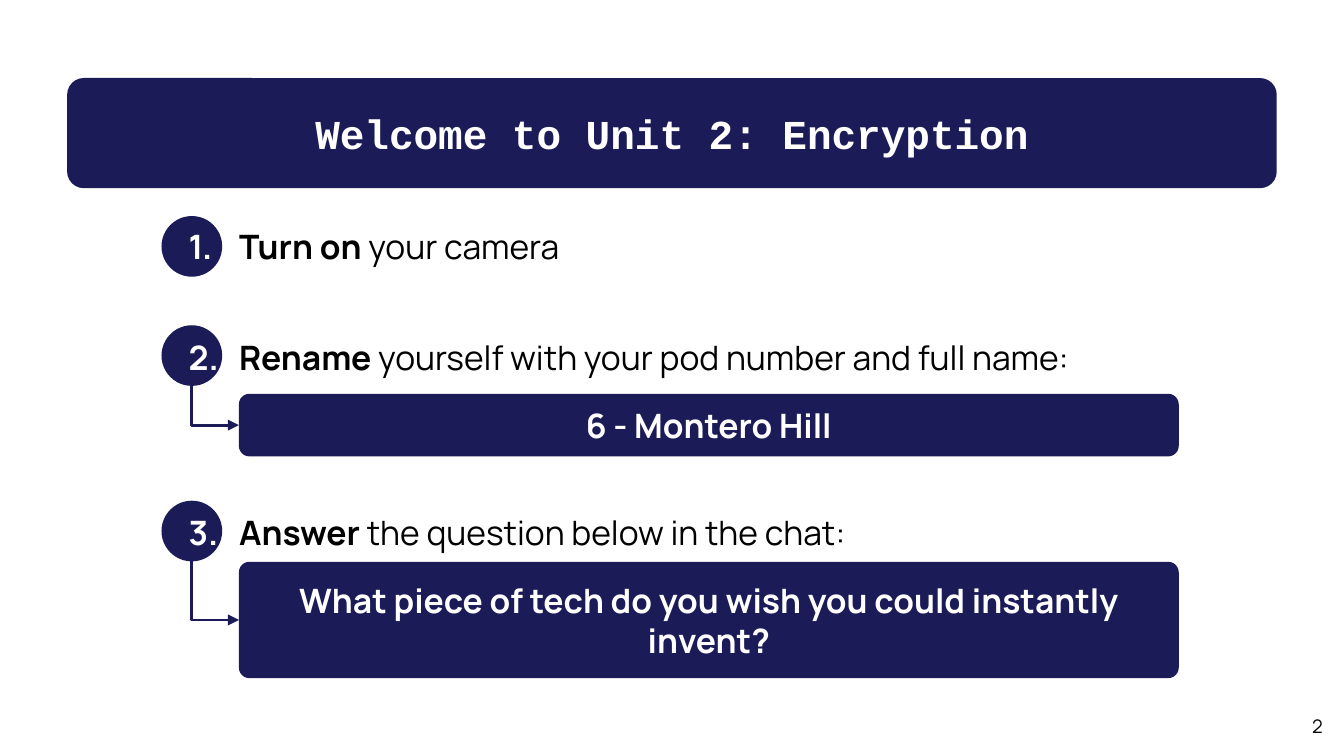
import pptx
import pptx.util
import pptx.dml.color
import pptx.enum.shapes
import pptx.enum.text
import pptx.oxml.ns
from lxml import etree

Pt = pptx.util.Pt
RGB = pptx.dml.color.RGBColor.from_string
SHAPE = pptx.enum.shapes.MSO_SHAPE
ALIGN = pptx.enum.text.PP_ALIGN
qn = pptx.oxml.ns.qn

# Content: bold lead, rest of the step, optional answer card
TITLE = "Welcome to Unit 2: Encryption"
STEPS = [
    ("Turn on ", "your camera", None),
    ("Rename ", "yourself with your pod number and full name:", "6 - Montero Hill"),
    ("Answer ", "the question below in the chat:",
     "What piece of tech do you wish you could instantly invent?"),
]
PAGE = "2"

THEME = {
    "navy": "1B1C57", "white": "FFFFFF", "black": "000000",
    "body": "Manrope", "mono": "Courier New",
    "title_size": 22, "body_size": 18, "page_size": 10,
}

# Layout in points
SLIDE = (720, 405)
TITLE_BOX = (36, 41.8, 648, 59)
PAGE_BOX = (672.5, 377.3, 43.2, 23.8)
STEP_LEFT, STEP_WIDTH, STEP_HEIGHT = 85, 547.2, 38.8
STEP_MIDDLES = [132, 191.5, 284.8]
BADGE_LEFT, BADGE = 86.5, 32.5
BADGE_MIDDLES = [132, 190.5, 284.5]
CARD_LEFT, CARD_WIDTH = 128, 503.5
CARD_SPANS = [None, (211, 33.5), (301, 62.3)]  # top, height
CARD_RADIUS, TITLE_RADIUS = 5.6, 8.9
INDENT, HANGING = 36, 27

prs = pptx.Presentation()
prs.slide_width, prs.slide_height = map(Pt, SLIDE)
s = prs.slides.add_slide(prs.slide_layouts[6])


def add_run(p, text, size, color, font=THEME["body"], bold=False):
    r = p.add_run()
    r.text = text
    r.font.name, r.font.size, r.font.bold = font, Pt(size), bold
    r.font.color.rgb = RGB(THEME[color])


def frame(sp):
    tf = sp.text_frame
    tf.word_wrap = True
    tf.vertical_anchor = pptx.enum.text.MSO_ANCHOR.MIDDLE
    tf.margin_left = tf.margin_right = tf.margin_top = tf.margin_bottom = Pt(7.2)
    return tf.paragraphs[0]


def add_solid(kind, box):
    sp = s.shapes.add_shape(kind, *map(Pt, box))
    sp.shadow.inherit = False
    sp.fill.solid()
    sp.fill.fore_color.rgb = RGB(THEME["navy"])
    sp.line.fill.background()
    return sp


def add_card(box, radius, text, size, font):
    sp = add_solid(SHAPE.ROUNDED_RECTANGLE, box)
    sp.adjustments[0] = radius / box[3]
    p = frame(sp)
    p.alignment = ALIGN.CENTER
    add_run(p, text, size, "white", font, True)


def add_arrow(x1, y1, x2, y2):
    """Go down from the badge, then right: a flipped elbow turned by 270 degrees."""
    mx, my = (x1 + x2) / 2, (y1 + y2) / 2
    half_w, half_h = (y2 - y1) / 2, (x2 - x1) / 2
    c = s.shapes.add_connector(
        pptx.enum.shapes.MSO_CONNECTOR.ELBOW,
        Pt(mx + half_w), Pt(my - half_h), Pt(mx - half_w), Pt(my + half_h))
    c.line.color.rgb = RGB(THEME["navy"])
    c.line.width = Pt(1.5)
    sp_pr = c._element.spPr
    sp_pr.find(qn("a:xfrm")).set("rot", str(270 * 60000))
    sp_pr.find(qn("a:prstGeom")).set("prst", "bentConnector2")
    etree.SubElement(sp_pr.find(qn("a:ln")), qn("a:tailEnd"), type="triangle")
    etree.SubElement(sp_pr, qn("a:effectLst"))


def add_step(number, middle, lead, rest):
    box = (STEP_LEFT, middle - STEP_HEIGHT / 2, STEP_WIDTH, STEP_HEIGHT)
    p = frame(s.shapes.add_textbox(*map(Pt, box)))
    p_pr = p._p.get_or_add_pPr()
    p_pr.set("marL", str(Pt(INDENT)))
    p_pr.set("indent", str(-Pt(HANGING)))
    color = etree.SubElement(p_pr, qn("a:buClr"))
    etree.SubElement(color, qn("a:srgbClr"), val=THEME["white"])
    etree.SubElement(p_pr, qn("a:buFont"), typeface=THEME["body"])
    etree.SubElement(p_pr, qn("a:buAutoNum"), type="arabicPeriod", startAt=str(number))
    add_run(p, lead, THEME["body_size"], "black", bold=True)
    add_run(p, rest, THEME["body_size"], "black")


# Page number
p = frame(s.shapes.add_textbox(*map(Pt, PAGE_BOX)))
p.alignment = ALIGN.RIGHT
add_run(p, PAGE, THEME["page_size"], "black")

# Steps with badges, arrows and answer cards
rows = zip(STEPS, STEP_MIDDLES, BADGE_MIDDLES, CARD_SPANS)
for number, ((lead, rest, answer), middle, badge_middle, span) in enumerate(rows, 1):
    if answer:
        top, height = span
        add_arrow(BADGE_LEFT + BADGE / 2, badge_middle + BADGE / 2,
                  CARD_LEFT, top + height / 2)
        add_card((CARD_LEFT, top, CARD_WIDTH, height), CARD_RADIUS, answer,
                 THEME["body_size"], THEME["body"])
    add_solid(SHAPE.OVAL, (BADGE_LEFT, badge_middle - BADGE / 2, BADGE, BADGE))
    add_step(number, middle, lead, rest)

# Title banner
add_card(TITLE_BOX, TITLE_RADIUS, TITLE, THEME["title_size"], THEME["mono"])

prs.save("out.pptx")
